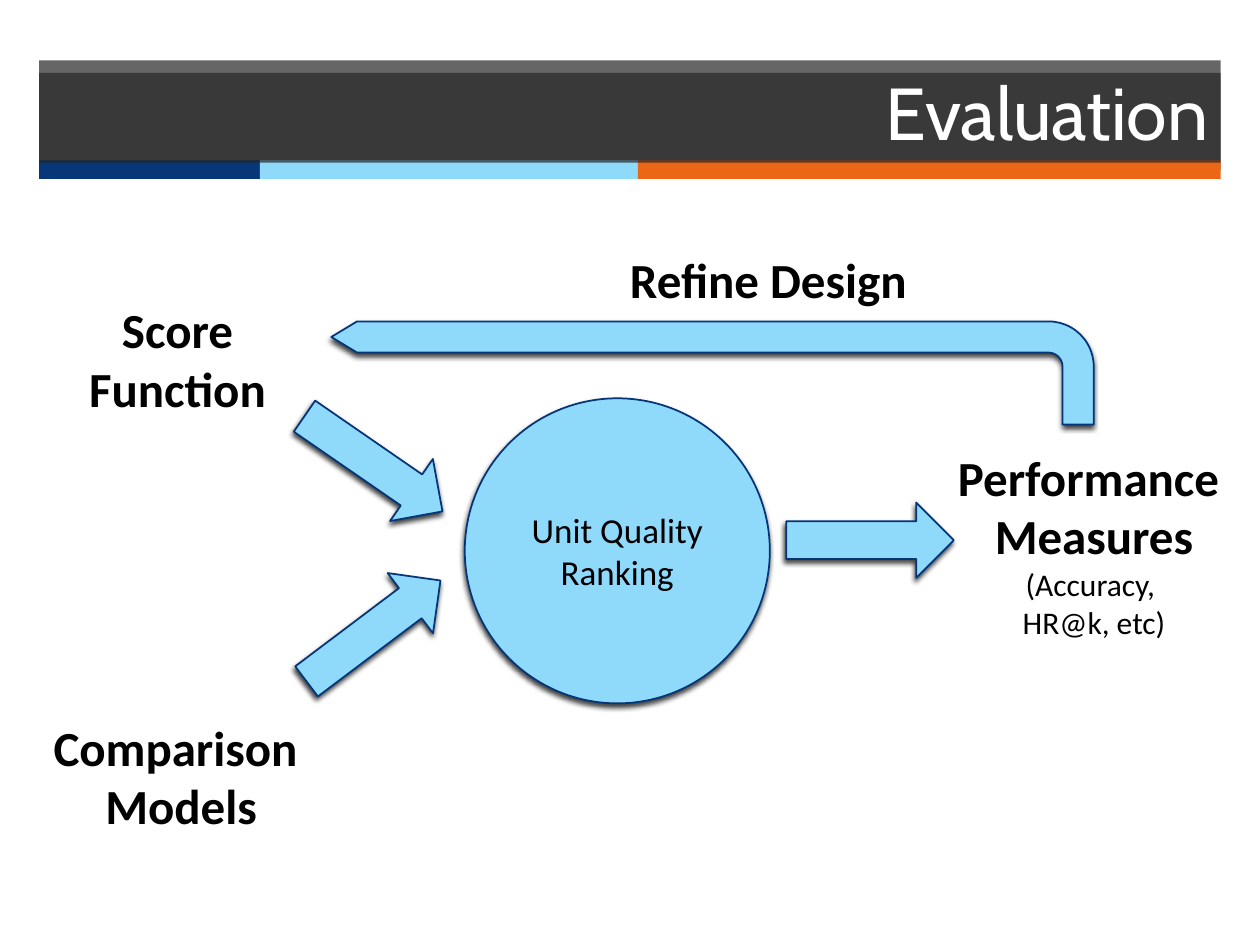
from dataclasses import dataclass

import lxml.etree
import pptx
import pptx.dml.color
import pptx.enum.shapes
import pptx.enum.text
import pptx.oxml.ns
import pptx.util

Cm, Pt = pptx.util.Cm, pptx.util.Pt
RGB = pptx.dml.color.RGBColor.from_string
Kind = pptx.enum.shapes.MSO_SHAPE
Align = pptx.enum.text.PP_ALIGN
qn = pptx.oxml.ns.qn


@dataclass(frozen=True)
class Theme:
    dark: str = "262626"
    navy: str = "073779"
    sky: str = "8FD9FB"
    orange: str = "EB6615"
    outline: str = "043579"
    white: str = "FFFFFF"
    black: str = "000000"
    title_font: str = "Cabin"
    body_font: str = "Calibri"
    title_size: int = 42
    label_size: int = 28
    circle_size: int = 20
    detail_size: int = 18


@dataclass(frozen=True)
class Frame:
    """Position and size in centimetres."""
    left: float
    top: float
    width: float
    height: float

    def lengths(self) -> list:
        return [Cm(v) for v in (self.left, self.top, self.width, self.height)]


@dataclass(frozen=True)
class Arrow:
    frame: Frame
    rotation: float = 0


@dataclass(frozen=True)
class Label:
    frame: Frame
    heading: tuple
    detail: tuple = ()
    align: Align = Align.CENTER


THEME = Theme()


def add_text(text_frame, text: str, *, size: int, first: bool = True,
             bold: bool = False, color: str = THEME.black,
             font: str = THEME.body_font, align: Align = Align.CENTER) -> None:
    para = text_frame.paragraphs[0] if first else text_frame.add_paragraph()
    para.alignment = align
    span = para.add_run()
    span.text = text
    span.font.name, span.font.size, span.font.bold = font, Pt(size), bold
    span.font.color.rgb = RGB(color)


def add_bar(page, frame: Frame, color: str, opacity: int = 100):
    bar = page.shapes.add_shape(Kind.RECTANGLE, *frame.lengths())
    bar.shadow.inherit = False
    bar.fill.solid()
    bar.fill.fore_color.rgb = RGB(color)
    bar.line.fill.background()
    if opacity < 100:
        tint = bar.element.spPr.find(qn("a:solidFill"))[0]
        lxml.etree.SubElement(tint, qn("a:alpha"), val=str(opacity * 1000))
    return bar


def add_diagram_shape(page, kind: Kind, frame: Frame, rotation: float = 0):
    shape = page.shapes.add_shape(kind, *frame.lengths())
    shape.rotation = rotation
    shape.fill.solid()
    shape.fill.fore_color.rgb = RGB(THEME.sky)
    shape.line.color.rgb = RGB(THEME.outline)
    shape.line.width = Pt(1)
    # Soft shadow falling just below the shape
    shape.shadow.inherit = False
    effects = shape.element.spPr.find(qn("a:effectLst"))
    shadow = lxml.etree.SubElement(
        effects, qn("a:outerShdw"), blurRad=str(Pt(3)), dist=str(Pt(2)),
        dir=str(110 * 60000), rotWithShape="0")
    tint = lxml.etree.SubElement(shadow, qn("a:srgbClr"), val=THEME.black)
    lxml.etree.SubElement(tint, qn("a:alpha"), val="75000")
    return shape


def add_label(page, label: Label) -> None:
    box = page.shapes.add_textbox(*label.frame.lengths())
    box.text_frame.word_wrap = False
    box.text_frame.auto_size = pptx.enum.text.MSO_AUTO_SIZE.SHAPE_TO_FIT_TEXT
    for index, line in enumerate(label.heading + label.detail):
        heading = index < len(label.heading)
        add_text(box.text_frame, line, first=index == 0, bold=heading,
                 size=THEME.label_size if heading else THEME.detail_size,
                 align=label.align)


def add_header(page) -> None:
    left, width = 0.79, 23.82
    add_bar(page, Frame(left, 1.47, width, 1.96), THEME.dark, opacity=70)
    # Three-colour strip
    strip_left = left
    for strip_width, color in ((4.45, THEME.navy), (7.62, THEME.sky),
                               (11.75, THEME.orange)):
        add_bar(page, Frame(strip_left, 3.23, strip_width, 0.38), color)
        strip_left += strip_width
    # Title band
    title = add_bar(page, Frame(left, 1.22, width, 2.06), THEME.dark, opacity=70)
    title.text_frame.vertical_anchor = pptx.enum.text.MSO_ANCHOR.MIDDLE
    add_text(title.text_frame, "Evaluation", size=THEME.title_size,
             color=THEME.white, font=THEME.title_font, align=Align.RIGHT)


def add_diagram(page) -> None:
    # Central circle
    circle = add_diagram_shape(page, Kind.OVAL, Frame(9.37, 8.03, 6.15, 6.15))
    circle.text_frame.word_wrap = True
    circle.text_frame.vertical_anchor = pptx.enum.text.MSO_ANCHOR.MIDDLE
    add_text(circle.text_frame, "Unit Quality Ranking", size=THEME.circle_size)

    # Arrows into and out of the circle
    arrow_width, arrow_height = 3.38, 1.52
    for arrow in (
        Arrow(Frame(5.84, 8.59, arrow_width, arrow_height), 34.6),
        Arrow(Frame(5.84, 11.96, arrow_width, arrow_height), 323),
        Arrow(Frame(15.85, 10.13, arrow_width, arrow_height)),
    ):
        add_diagram_shape(page, Kind.RIGHT_ARROW, arrow.frame, arrow.rotation)

    # Feedback arrow, pointing left
    feedback = add_diagram_shape(page, Kind.BENT_ARROW, Frame(6.68, 6.48, 15.37, 2.08))
    for index, value in enumerate((0.303, 0.151, 0.25, 0.438)):
        feedback.adjustments[index] = value
    feedback.element.spPr.find(qn("a:xfrm")).set("flipH", "1")

    # Labels
    for label in (
        Label(Frame(1.52, 5.92, 4.34, 2.64), ("Score ", "Function ")),
        Label(Frame(0.79, 14.33, 5.72, 2.64), ("Comparison ", "Models")),
        Label(Frame(19.02, 8.89, 6.07, 4.19), ("Performance ", "Measures"),
              ("(Accuracy, ", "HR@k, etc)")),
        Label(Frame(12.45, 4.9, 6.17, 1.45), ("Refine Design",), align=Align.LEFT),
    ):
        add_label(page, label)


def main() -> None:
    deck = pptx.Presentation()
    deck.slide_width, deck.slide_height = Cm(25.4), Cm(19.05)
    page = deck.slides.add_slide(deck.slide_layouts[6])
    add_header(page)
    add_diagram(page)
    deck.save("out.pptx")


if __name__ == "__main__":
    main()
